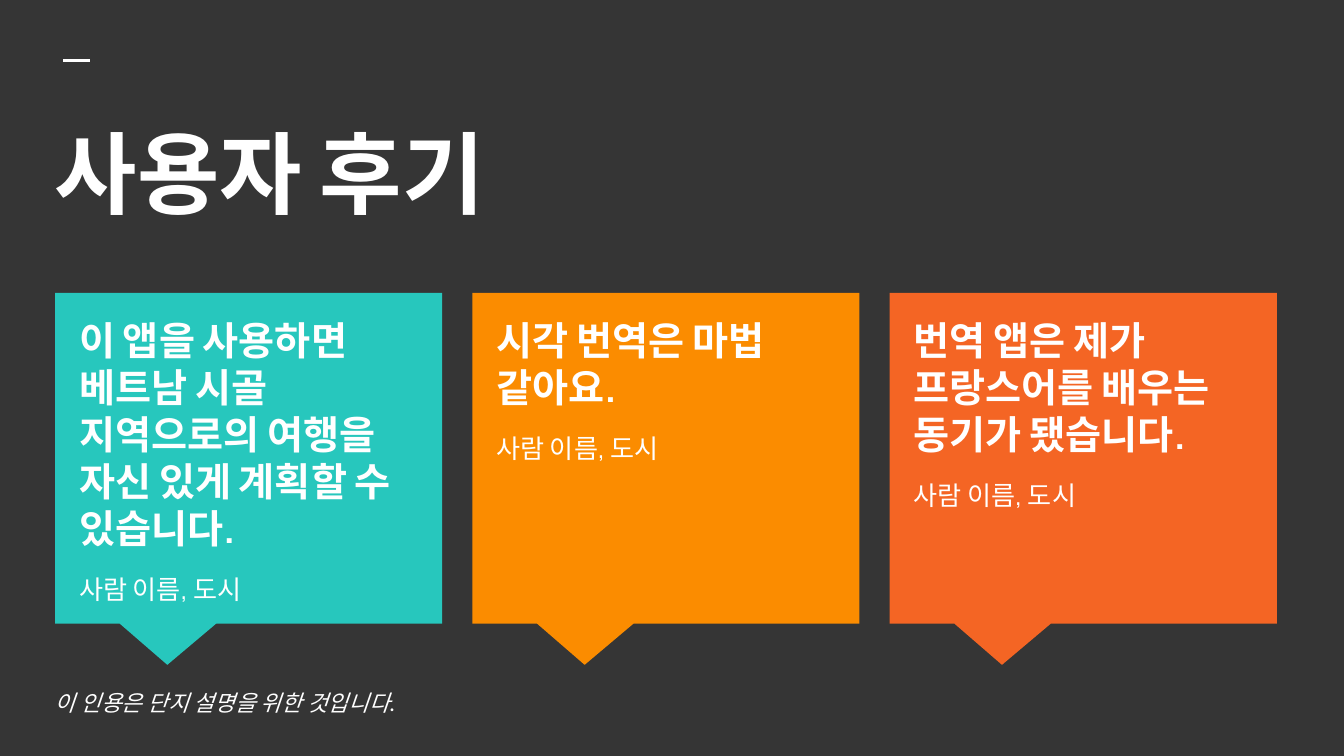
"""Build a dark testimonial slide with three coloured speech callouts."""
from lxml import etree
from pptx import Presentation
from pptx.dml.color import RGBColor
from pptx.enum import shapes, text
from pptx.oxml.ns import qn
from pptx.util import Inches, Pt

DARK = RGBColor(0x35, 0x35, 0x35)
WHITE = RGBColor(0xFF, 0xFF, 0xFF)
TEAL = RGBColor(0x27, 0xC7, 0xBD)
AMBER = RGBColor(0xFB, 0x8C, 0x00)
ORANGE = RGBColor(0xF4, 0x65, 0x24)

TITLE = "사용자 후기"
AUTHOR = "사람 이름, 도시"
QUOTES = [
    ("이 앱을 사용하면 베트남 시골 지역으로의 여행을 자신 있게 계획할 수 있습니다.", TEAL),
    ("시각 번역은 마법 같아요.", AMBER),
    ("번역 앱은 제가 프랑스어를 배우는 동기가 됐습니다.", ORANGE),
]
NOTE = "이 인용은 단지 설명을 위한 것입니다."

CARD_LEFT, CARD_TOP, CARD_W, CARD_H = 0.41, 2.18, 2.88, 2.46
LAST_LEFT = 6.62
CARD_STEP = (LAST_LEFT - CARD_LEFT) / (len(QUOTES) - 1)
TEXT_DX, TEXT_DY, TEXT_W, TEXT_H = 0.08, 0.07, 2.71, 2.19


def add_text(s, box, paragraphs, font, anchor=text.MSO_ANCHOR.TOP):
    """Add a wrapped text box of (text, size, bold, italic, spacing) paragraphs."""
    tf = s.shapes.add_textbox(*map(Inches, box)).text_frame
    tf.word_wrap = True
    tf.vertical_anchor = anchor
    tf.margin_left = tf.margin_right = Inches(0.1)
    tf.margin_top = tf.margin_bottom = Inches(0.1)
    for i, (words, size, bold, italic, space) in enumerate(paragraphs):
        p = tf.add_paragraph() if i else tf.paragraphs[0]
        p.text = words
        p.space_before = p.space_after = Pt(space)
        p.font.name = font
        p.font.size = Pt(size)
        p.font.bold = bold
        p.font.italic = italic
        p.font.color.rgb = WHITE
        props = p._p.pPr.find(qn("a:defRPr"))
        for tag in ("a:ea", "a:cs"):
            etree.SubElement(props, qn(tag), typeface=font)


def add_callout(s, left, color):
    """Add one speech callout with its pointer at the lower left."""
    sp = s.shapes.add_shape(shapes.MSO_SHAPE.RECTANGULAR_CALLOUT, Inches(left),
                            Inches(CARD_TOP), Inches(CARD_W), Inches(CARD_H))
    sp.adjustments[0], sp.adjustments[1] = -0.21, 0.625
    sp.fill.solid()
    sp.fill.fore_color.rgb = color
    sp.line.fill.background()
    sp.shadow.inherit = False


def main():
    """Assemble and save the slide."""
    prs = Presentation()
    prs.slide_width = Inches(10)
    prs.slide_height = Inches(10) * 9 // 16
    s = prs.slides.add_slide(prs.slide_layouts[6])
    s.background.fill.solid()
    s.background.fill.fore_color.rgb = DARK

    dash = s.shapes.add_connector(shapes.MSO_CONNECTOR.STRAIGHT, Inches(0.47),
                                  Inches(0.45), Inches(0.67), Inches(0.45))
    dash.line.color.rgb = WHITE
    dash.line.width = Pt(1.5)
    etree.SubElement(dash._element.spPr, qn("a:effectLst"))

    add_text(s, (0.31, 0.78, 9.43, 1.12), [(TITLE, 48, True, False, 0)], "Manrope")
    for i, (quote, color) in enumerate(QUOTES):
        left = CARD_LEFT + i * CARD_STEP
        add_callout(s, left, color)
        add_text(s, (left + TEXT_DX, CARD_TOP + TEXT_DY, TEXT_W, TEXT_H),
                 [(quote, 21, True, False, 0), (AUTHOR, 14, False, False, 12)],
                 "Manrope")
    add_text(s, (0.31, 5.09, 6.83, 0.28), [(NOTE, 12, False, True, 0)], "Lato",
             text.MSO_ANCHOR.MIDDLE)
    prs.save("out.pptx")


if __name__ == "__main__":
    main()
